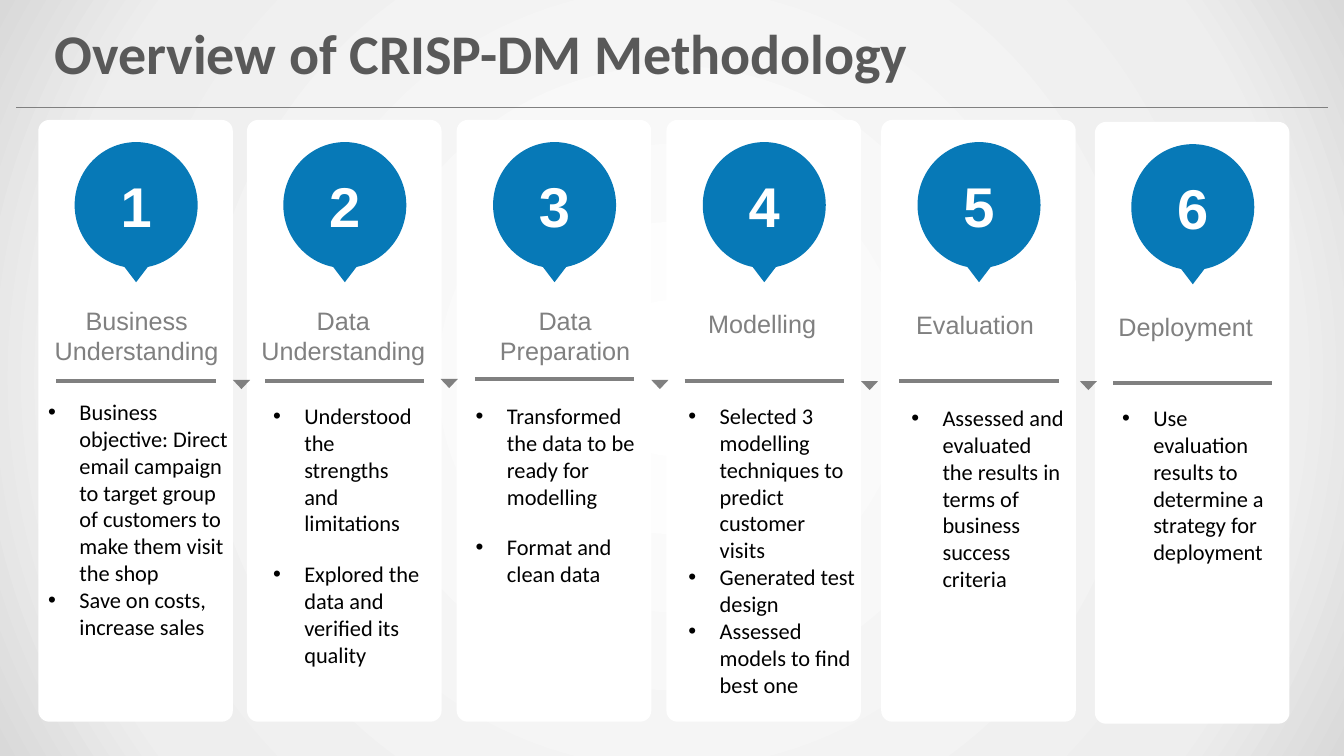
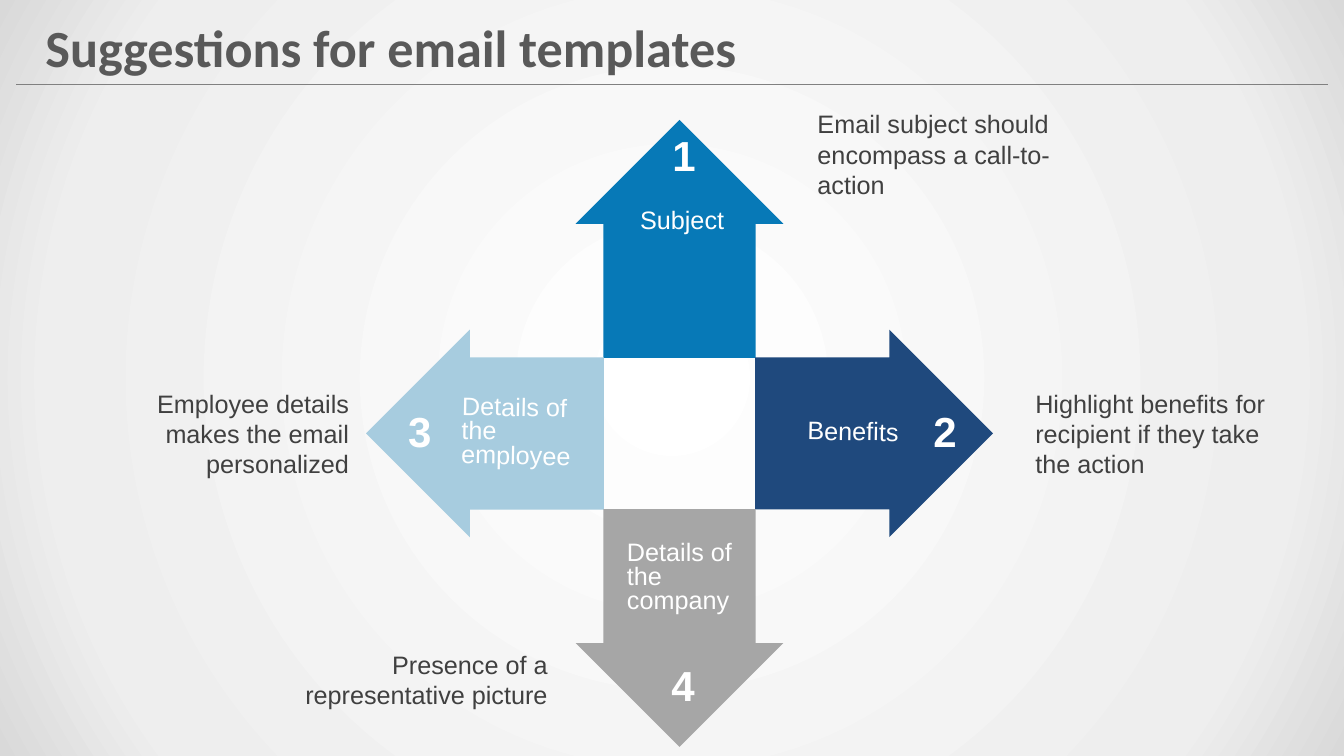
"""Build two slides: the CRISP-DM steps and email template tips."""
from lxml import etree
from pptx import Presentation
from pptx.dml.color import RGBColor as Rgb
from pptx.enum.shapes import MSO_CONNECTOR as Link, MSO_SHAPE as Kind
from pptx.enum.text import MSO_ANCHOR as Anchor, MSO_AUTO_SIZE as Fit, PP_ALIGN as Align
from pptx.oxml import parse_xml
from pptx.oxml.ns import nsdecls, qn
from pptx.util import Inches, Pt

WHITE = Rgb(0xFF, 0xFF, 0xFF)
BLACK = Rgb(0, 0, 0)
BLUE = Rgb(0x07, 0x79, 0xB7)
NAVY = Rgb(0x1F, 0x49, 0x7D)
PALE = Rgb(0xA7, 0xCC, 0xDF)
SILVER = Rgb(0xA6, 0xA6, 0xA6)
GRAY = Rgb(0x80, 0x80, 0x80)
SLATE = Rgb(0x59, 0x59, 0x59)
DARK = Rgb(0x40, 0x40, 0x40)

STOPS = [(0, "FFFFFF"), (81, "EEEEEE"), (100, "D9D9D9")]

CARD_W, CARD_H = 1.93, 5.97
STEPS = [
    dict(left=0.38, top=1.19, rule=3.78, name="Business Understanding",
         head=(0.43, 2.98, 1.85, 0.71), body=(0.38, 3.9, 2, 2.83), gap=0,
         items=["Business objective: Direct email campaign to target group of "
                "customers to make them visit the shop",
                "Save on costs, increase sales"]),
    dict(left=2.45, top=1.19, rule=3.78, name="Data Understanding",
         head=(2.48, 2.98, 1.85, 0.71), body=(2.61, 3.94, 1.69, 3.26), gap=17,
         items=["Understood the strengths and limitations",
                "Explored the data and verified its quality"]),
    dict(left=4.53, top=1.19, rule=3.76, name="Data Preparation",
         head=(4.77, 2.98, 1.67, 0.71), body=(4.62, 3.94, 1.79, 2.19), gap=17,
         items=["Transformed the data to be ready for modelling",
                "Format and clean data"]),
    dict(left=6.61, top=1.19, rule=3.78, name="Modelling",
         head=(6.83, 3.01, 1.46, 0.4), body=(6.73, 3.94, 1.85, 3.06), gap=0,
         items=["Selected 3 modelling techniques to predict customer visits",
                "Generated test design",
                "Assessed models to find best one"]),
    dict(left=8.74, top=1.19, rule=3.78, name="Evaluation",
         head=(8.94, 3.02, 1.46, 0.4), body=(8.94, 3.96, 1.73, 2.22), gap=0,
         items=["Assessed and evaluated the results in terms of business "
                "success criteria"]),
    dict(left=10.86, top=1.21, rule=3.8, name="Deployment",
         head=(10.97, 3.04, 1.58, 0.4), body=(11.03, 3.96, 1.75, 1.72), gap=0,
         items=["Use evaluation results to determine a strategy for deployment"]),
]
MARKS = [(2.31, 3.77), (4.37, 3.76), (6.46, 3.77), (8.54, 3.78), (10.71, 3.78)]

HUB_X, HUB_Y, REACH = 6.74, 4.3, 1.93
ARROW_W, ARROW_H = 2.36, 2.06
TIPS = [
    dict(color=BLUE, way=(0, -1), turn=270, spot=(6.57, 1.24, 0.34, 0.61),
         name="Subject", label=(6.25, 2.04, 1.25, 0.34), tilt=0, side=Align.LEFT,
         note="Email subject should encompass a call-to-action",
         place=(8.01, 1.03, 2.67, 1.01), align=Align.LEFT),
    dict(color=NAVY, way=(1, 0), turn=0, spot=(9.16, 3.97, 0.4, 0.61),
         name="Benefits", label=(7.71, 4.13, 1.3, 0.34), tilt=1, side=Align.RIGHT,
         note="Highlight benefits for recipient if they take the action",
         place=(10.17, 3.8, 2.67, 1.01), align=Align.LEFT),
    dict(color=PALE, way=(-1, 0), turn=180, spot=(3.95, 3.97, 0.48, 0.61),
         name="Details of the employee", label=(4.48, 3.89, 1.42, 0.83), tilt=1,
         side=Align.LEFT, note="Employee details makes the email personalized",
         place=(0.89, 3.8, 2.67, 1.01), align=Align.RIGHT),
    dict(color=SILVER, way=(0, 1), turn=90, spot=(6.56, 6.49, 0.34, 0.61),
         name="Details of the company", label=(6.12, 5.33, 1.25, 0.83), tilt=0,
         side=Align.LEFT, note="Presence of a representative picture",
         place=(2.86, 6.39, 2.67, 0.71), align=Align.RIGHT),
]


def box(place):
    return [Inches(n) for n in place]


def write(para, text, size, color, font="Arial", bold=False, align=Align.LEFT):
    para.alignment = align
    run = para.add_run()
    run.text = text
    run.font.name = font
    run.font.size = Pt(size)
    run.font.bold = bold
    run.font.color.rgb = color


def add_text(slide, place):
    area = slide.shapes.add_textbox(*box(place))
    area.text_frame.word_wrap = True
    return area


def add_shape(slide, kind, place, color, turn=0):
    shape = slide.shapes.add_shape(kind, *box(place))
    shape.shadow.inherit = False
    shape.fill.solid()
    shape.fill.fore_color.rgb = color
    shape.line.fill.background()
    shape.rotation = turn
    return shape


def add_rule(slide, left, right, top, width):
    rule = slide.shapes.add_connector(Link.STRAIGHT, *box((left, top, right, top)))
    rule.line.color.rgb = GRAY
    rule.line.width = Pt(width)
    etree.SubElement(rule._element.spPr, qn("a:effectLst"))


def add_bullet(para):
    props = para._p.get_or_add_pPr()
    props.set("marL", str(Inches(0.31)))
    props.set("indent", str(-Inches(0.31)))
    etree.SubElement(props, qn("a:buFont")).set("typeface", "Arial")
    etree.SubElement(props, qn("a:buChar")).set("char", "•")


def paint_master(master):
    master.background.fill.solid()
    stops = "".join(f'<a:gs pos="{pos * 1000}"><a:srgbClr val="{color}"/></a:gs>'
                    for pos, color in STOPS)
    fill = parse_xml(
        f'<a:gradFill {nsdecls("a")} rotWithShape="1"><a:gsLst>{stops}</a:gsLst>'
        '<a:path path="circle"><a:fillToRect l="50000" t="50000" r="50000" b="50000"/>'
        '</a:path></a:gradFill>')
    props = master.element.find(".//" + qn("p:bgPr"))
    props.replace(props[0], fill)


def add_slide(deck, title, left, top, size, rule):
    slide = deck.slides.add_slide(deck.slide_layouts[5])
    head = slide.shapes.title
    head.left, head.top, head.width, head.height = box((left, top, 12, 0.78))
    frame = head.text_frame
    frame.auto_size = Fit.NONE
    frame.vertical_anchor = Anchor.MIDDLE
    write(frame.paragraphs[0], title, size, SLATE, "Calibri", True)
    add_rule(slide, 0.16, 13.17, rule, 0.75)
    return slide


def add_step(slide, num, step):
    left, top = step["left"], step["top"]
    card = add_shape(slide, Kind.ROUNDED_RECTANGLE, (left, top, CARD_W, CARD_H), WHITE)
    card.adjustments[0] = 0.057
    disc = add_shape(slide, Kind.OVAL, (left + 0.36, top + 0.22, 1.22, 1.25), BLUE)
    frame = disc.text_frame
    frame.margin_left = frame.margin_right = Inches(0.2)
    frame.margin_top = frame.margin_bottom = Inches(0.2)
    frame.vertical_anchor = Anchor.MIDDLE
    write(frame.paragraphs[0], str(num), 40, WHITE, bold=True, align=Align.CENTER)
    add_shape(slide, Kind.ISOSCELES_TRIANGLE, (left + 0.81, top + 1.4, 0.32, 0.21),
              BLUE, 180)
    head = add_text(slide, step["head"]).text_frame
    write(head.paragraphs[0], step["name"], 18, GRAY, align=Align.CENTER)
    add_rule(slide, left + 0.18, left + 1.76, step["rule"], 3)
    body = add_text(slide, step["body"]).text_frame
    for i, item in enumerate(step["items"]):
        para = body.add_paragraph() if i else body.paragraphs[0]
        add_bullet(para)
        if i and step["gap"]:
            para.space_before = Pt(step["gap"])
        write(para, item, 16, BLACK, "Calibri")


def add_tip(slide, num, tip):
    across, down = tip["way"]
    left = HUB_X + across * REACH - ARROW_W / 2
    top = HUB_Y + down * REACH - ARROW_H / 2
    arrow = add_shape(slide, Kind.RIGHT_ARROW, (left, top, ARROW_W, ARROW_H),
                      tip["color"], tip["turn"])
    arrow.adjustments[0], arrow.adjustments[1] = 0.733, 0.5
    spot = add_text(slide, tip["spot"]).text_frame
    write(spot.paragraphs[0], str(num), 30, WHITE, bold=True)
    label = add_text(slide, tip["label"])
    label.rotation = tip["tilt"]
    para = label.text_frame.paragraphs[0]
    para.line_spacing = 0.8
    write(para, tip["name"], 18, WHITE, align=tip["side"])
    note = add_text(slide, tip["place"]).text_frame
    write(note.paragraphs[0], tip["note"], 18, DARK, align=tip["align"])


def main():
    deck = Presentation()
    deck.slide_width, deck.slide_height = box((13.33, 7.5))
    paint_master(deck.slide_master)

    slide = add_slide(deck, "Overview of CRISP-DM Methodology", 0.44, 0.13, 40, 1.07)
    for num, step in enumerate(STEPS, 1):
        add_step(slide, num, step)
    for left, top in MARKS:
        add_shape(slide, Kind.ISOSCELES_TRIANGLE, (left, top, 0.17, 0.09), GRAY, 180)

    slide = add_slide(deck, "Suggestions for email templates", 0.35, 0.07, 37.3, 0.84)
    for num, tip in enumerate(TIPS, 1):
        add_tip(slide, num, tip)
    deck.save("out.pptx")


if __name__ == "__main__":
    main()
